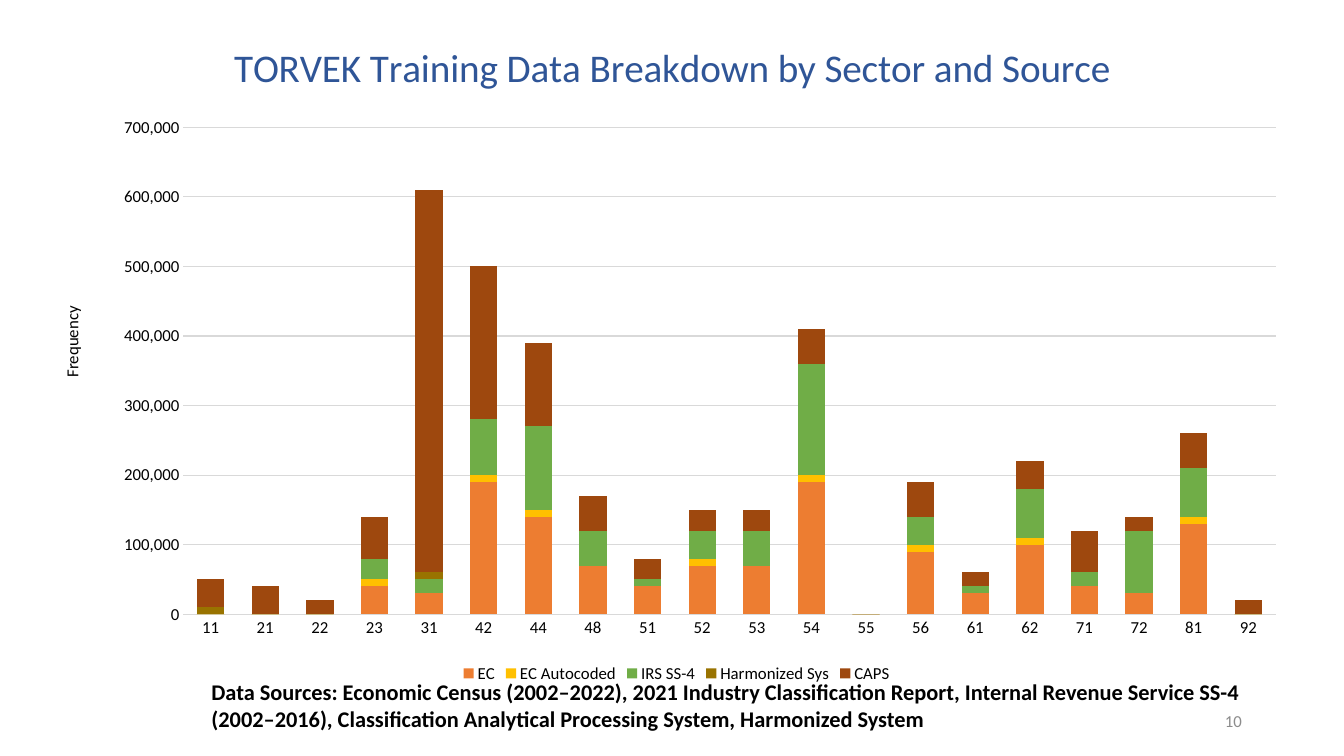
"""Build the slide on training data by sector and source."""
from lxml import etree
from pptx import Presentation
from pptx import util as u
from pptx.chart.data import CategoryChartData
from pptx.dml.color import RGBColor
from pptx.enum import chart as charts, text
from pptx.oxml.ns import qn

COLORS = {
    "ink": "000000", "title": "2F5597", "grid": "D9D9D9", "number": "8C8C8C",
    "EC": "ED7D31", "EC Autocoded": "FFC000", "IRS SS-4": "70AD47",
    "Harmonized Sys": "997300", "CAPS": "9E480E",
}
CHART_WIDTH, CHART_HEIGHT = 31.5, 16.94
SECTORS = ["11", "21", "22", "23", "31", "42", "44", "48", "51", "52",
           "53", "54", "55", "56", "61", "62", "71", "72", "81", "92"]
TEN_THOUSANDS = {
    "EC": [0, 0, 0, 4, 3, 19, 14, 7, 4, 7, 7, 19, 0, 9, 3, 10, 4, 3, 13, 0],
    "EC Autocoded": [0, 0, 0, 1, 0, 1, 1, 0, 0, 1, 0, 1, 0, 1, 0, 1, 0, 0, 1, 0],
    "IRS SS-4": [0, 0, 0, 3, 2, 8, 12, 5, 1, 4, 5, 16, 0, 4, 1, 7, 2, 9, 7, 0],
    "Harmonized Sys": [1, 0, 0, 0, 1] + [0] * 15,
    "CAPS": [4, 4, 2, 6, 55, 22, 12, 5, 3, 3, 3, 5, 0, 5, 2, 4, 6, 2, 5, 2],
}


def place(element, index, **lengths):
    """Pin a chart part at lengths in centimetres within the chart."""
    for old in element.findall(qn("c:layout")):
        element.remove(old)
    layout = etree.Element(qn("c:layout"))
    manual = etree.SubElement(layout, qn("c:manualLayout"))
    if "w" in lengths:
        etree.SubElement(manual, qn("c:layoutTarget"), val="inner")
    for mode in ("xMode", "yMode"):
        etree.SubElement(manual, qn(f"c:{mode}"), val="edge")
    for key, length in lengths.items():
        whole = CHART_WIDTH if key in "xw" else CHART_HEIGHT
        etree.SubElement(manual, qn(f"c:{key}"), val=str(length / whole))
    element.insert(index, layout)


class Deck:
    """Hold the style and the current slide."""

    def __init__(self, font="Calibri"):
        self.font = font
        self.presentation = Presentation()
        self.presentation.slide_width = u.Cm(33.87)
        self.presentation.slide_height = u.Cm(19.05)
        self.slide = self.presentation.slides.add_slide(
            self.presentation.slide_layouts[6])

    def style(self, font, size, color="ink", bold=False):
        """Apply the typeface, size and colour."""
        font.name, font.size, font.bold = self.font, u.Pt(size), bold
        font.color.rgb = RGBColor.from_string(COLORS[color])

    def rule(self, line):
        """Draw a thin grid-coloured line."""
        line.color.rgb = RGBColor.from_string(COLORS["grid"])
        line.width = u.Pt(0.75)

    def note(self, words, box, size, color="ink", bold=False,
             align=text.PP_ALIGN.LEFT, anchor=text.MSO_ANCHOR.TOP):
        """Add a wrapped text box."""
        frame = self.slide.shapes.add_textbox(*map(u.Cm, box)).text_frame
        frame.word_wrap = True
        frame.vertical_anchor = anchor
        paragraph = frame.paragraphs[0]
        paragraph.text, paragraph.alignment = words, align
        self.style(paragraph.font, size, color, bold)

    def heading(self, title, words, size, color, x, y):
        """Write and place a chart or axis title."""
        paragraph = title.text_frame.paragraphs[0]
        paragraph.text = words
        self.style(paragraph.font, size, color)
        place(title.element, 1, x=x, y=y)

    def stacked_columns(self, title, axis_title, left, top):
        """Add the stacked column chart."""
        data = CategoryChartData(number_format="#,##0")
        data.categories = SECTORS
        for source, counts in TEN_THOUSANDS.items():
            data.add_series(source, [count * 10000 for count in counts])
        box = map(u.Cm, (left, top, CHART_WIDTH, CHART_HEIGHT))
        chart = self.slide.shapes.add_chart(
            charts.XL_CHART_TYPE.COLUMN_STACKED, *box, data).chart
        self.style(chart.font, 10)

        plot = chart.plots[0]
        plot.gap_width, plot.overlap = 100, 100
        plot.vary_by_categories = False
        for series in plot.series:
            series.format.fill.solid()
            series.format.fill.fore_color.rgb = RGBColor.from_string(COLORS[series.name])

        sectors, frequency = chart.category_axis, chart.value_axis
        for axis in (sectors, frequency):
            axis.major_tick_mark = axis.minor_tick_mark = charts.XL_TICK_MARK.NONE
            self.style(axis.tick_labels.font, 12)
        self.rule(sectors.format.line)
        self.rule(frequency.major_gridlines.format.line)
        frequency.format.line.fill.background()
        frequency.minimum_scale, frequency.maximum_scale = 0, 700000
        frequency.major_unit = 100000
        frequency.tick_labels.number_format = "#,##0"
        frequency.tick_labels.number_format_is_linked = False

        chart.has_legend = True
        chart.legend.position = charts.XL_LEGEND_POSITION.BOTTOM
        chart.legend.include_in_layout = False
        self.style(chart.legend.font, 12)
        self.heading(chart.chart_title, title, 28, "title", 4.42, 0.48)
        self.heading(frequency.axis_title, axis_title, 12, "ink", 0.15, 7.26)
        place(chart.element.find(".//" + qn("c:plotArea")), 0,
              x=3.32, y=2.83, w=27.53, h=12.27)


def main():
    """Compose and save the slide."""
    deck = Deck()
    deck.note("10", (23.93, 17.65, 7.62, 1.02), 12, "number",
              align=text.PP_ALIGN.RIGHT, anchor=text.MSO_ANCHOR.MIDDLE)
    deck.note("Data Sources: Economic Census (2002–2022), 2021 Industry "
              "Classification Report, Internal Revenue Service SS-4 (2002–2016), "
              "Classification Analytical Processing System, Harmonized System",
              (5.08, 16.97, 26.47, 1.63), 16, bold=True)
    deck.stacked_columns("TORVEK Training Data Breakdown by Sector and Source",
                         "Frequency", 1.3, 0.38)
    deck.presentation.save("out.pptx")


if __name__ == "__main__":
    main()
